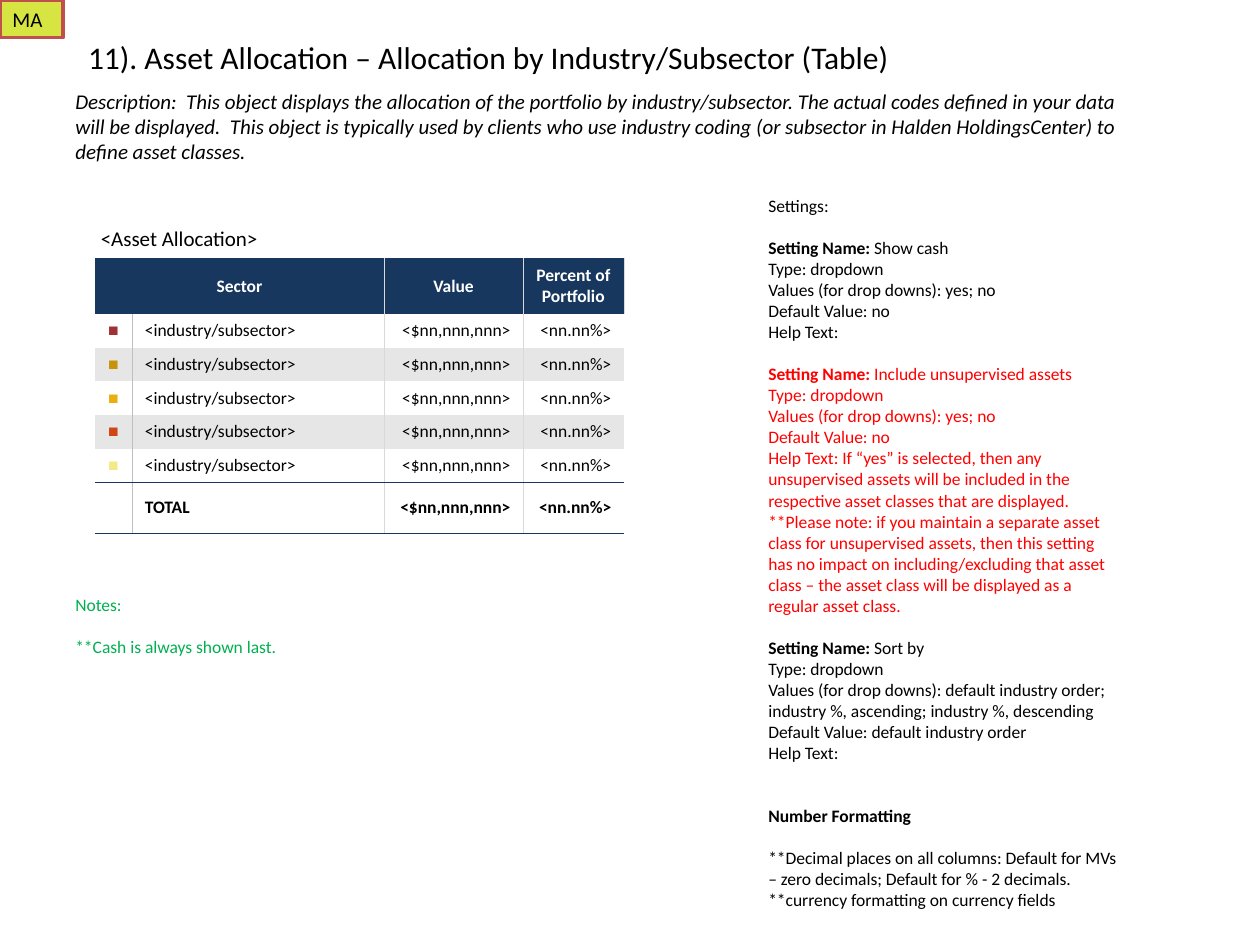
"""Build the asset allocation by industry/subsector slide."""
from lxml import etree
from pptx import Presentation
from pptx.dml.color import RGBColor
from pptx.enum.shapes import MSO_SHAPE
from pptx.enum.text import MSO_ANCHOR, MSO_AUTO_SIZE, PP_ALIGN
from pptx.oxml.ns import qn
from pptx.util import Pt

RECTANGLE = MSO_SHAPE.RECTANGLE
TOP, MIDDLE, BOTTOM = MSO_ANCHOR.TOP, MSO_ANCHOR.MIDDLE, MSO_ANCHOR.BOTTOM
LEFT, CENTER, RIGHT = PP_ALIGN.LEFT, PP_ALIGN.CENTER, PP_ALIGN.RIGHT
GROW = MSO_AUTO_SIZE.SHAPE_TO_FIT_TEXT
BLACK, WHITE, NAVY, RED, GREEN = "000000", "FFFFFF", "17375E", "FF0000", "00B050"
BAND, COLUMN_RULE, MARKER_RULE = "E6E6E6", "D9D9D9", "BFBFBF"
NO_GRID_STYLE = "{2D5ABB26-0587-4C30-8999-92F81FD0307C}"


def rgb(color):
    return RGBColor.from_string(color)


def add_run(paragraph, text, color=BLACK, **font_values):
    run = paragraph.add_run()
    run.text = text
    for key, value in {"name": "Calibri", "size": Pt(10), **font_values}.items():
        setattr(run.font, key, value)
    run.font.color.rgb = rgb(color)


prs = Presentation()
prs.slide_width, prs.slide_height = Pt(720), Pt(540)
slide = prs.slides.add_slide(prs.slide_layouts[6])

title = slide.shapes.add_textbox(Pt(43.2), Pt(18), Pt(474.5), Pt(28.8)).text_frame
title.word_wrap, title.auto_size = False, GROW
add_run(title.paragraphs[0],
        "11). Asset Allocation – Allocation by Industry/Subsector (Table)", size=Pt(18))

# (text, alignment, text colour, bold, font) for each cell; None leaves a cell empty
sectors = ["A03033", "C6930A", "EAAF0F", "D14414", "F2EA87"]
headings = [("Sector", CENTER, WHITE, True, "Calibri"), None,
            ("Value", CENTER, WHITE, True, "Calibri"),
            ("Percent of Portfolio", CENTER, WHITE, True, "Calibri")]
rows = [[("<Asset Allocation>", LEFT, BLACK, False, "Calibri"), None, None, None], headings]
for marker in sectors:
    rows.append([("■", CENTER, marker, False, "Arial"),
                 ("<industry/subsector>", LEFT, BLACK, False, "Calibri"),
                 ("<$nn,nnn,nnn>", RIGHT, BLACK, False, "Calibri"),
                 ("<nn.nn%>", RIGHT, BLACK, False, "Calibri")])
rows.append([None, ("TOTAL", LEFT, BLACK, True, "Calibri"),
             ("<$nn,nnn,nnn>", RIGHT, BLACK, True, "Calibri"),
             ("<nn.nn%>", RIGHT, BLACK, True, "Calibri")])
fills = [None, NAVY] + [BAND if i % 2 else WHITE for i in range(len(sectors))] + [WHITE]
column_widths = [21.6, 144, 79.2, 57.6]
row_heights = [21.6, 31.7] + [19.3] * (len(sectors) + 1)
total_row = len(rows) - 1

allocation_frame = slide.shapes.add_table(
    len(rows), 4, Pt(54), Pt(126), Pt(sum(column_widths)), Pt(sum(row_heights)))
allocation = allocation_frame.table
allocation.first_row = allocation.horz_banding = False
for style_id in allocation_frame.element.iter(qn("a:tableStyleId")):
    style_id.text = NO_GRID_STYLE
for column, width in zip(allocation.columns, column_widths):
    column.width = Pt(width)
for row, height in zip(allocation.rows, row_heights):
    row.height = Pt(height)
allocation.cell(0, 0).merge(allocation.cell(0, 3))
allocation.cell(1, 0).merge(allocation.cell(1, 1))

for r, row in enumerate(rows):
    for c, content in enumerate(row):
        cell = allocation.cell(r, c)
        cell.vertical_anchor = MIDDLE if r else BOTTOM
        if content:
            text, alignment, color, bold, font_name = content
            paragraph = cell.text_frame.paragraphs[0]
            paragraph.alignment = alignment
            add_run(paragraph, text, color, bold=bold, name=font_name,
                    size=Pt(10 if r else 12))
        if r == 0:
            continue
        column_edges = [None, MARKER_RULE if r > 1 else None, COLUMN_RULE, COLUMN_RULE, None]
        edges = {"a:lnL": column_edges[c], "a:lnR": column_edges[c + 1],
                 "a:lnT": NAVY if r == total_row else None,
                 "a:lnB": NAVY if r >= total_row - 1 else None}
        properties = cell._tc.get_or_add_tcPr()
        for tag, color in edges.items():
            if color:
                line = etree.SubElement(properties, qn(tag), w=str(Pt(0.23)))
                line_fill = etree.SubElement(line, qn("a:solidFill"))
                etree.SubElement(line_fill, qn("a:srgbClr"), val=color)
        cell.fill.solid()
        cell.fill.fore_color.rgb = rgb(fills[r])
caption = allocation.cell(0, 0)
caption.margin_left = Pt(3.6)
caption.fill.background()

# (space before, colour, bold part, plain part)
settings_lines = [
    (0, BLACK, "", "Settings:"),
    (12, BLACK, "Setting Name:", " Show cash"),
    (0, BLACK, "", "Type: dropdown"),
    (0, BLACK, "", "Values (for drop downs): yes; no"),
    (0, BLACK, "", "Default Value: no"),
    (0, BLACK, "", "Help Text:"),
    (12, RED, "Setting Name:", " Include unsupervised assets"),
    (0, RED, "", "Type: dropdown"),
    (0, RED, "", "Values (for drop downs): yes; no"),
    (0, RED, "", "Default Value: no"),
    (0, RED, "", "Help Text: If “yes” is selected, then any unsupervised assets will be "
     "included in the respective asset classes that are displayed.  **Please note: if you "
     "maintain a separate asset class for unsupervised assets, then this setting has no "
     "impact on including/excluding that asset class – the asset class will be displayed "
     "as a regular asset class."),
    (12, BLACK, "Setting Name:", " Sort by"),
    (0, BLACK, "", "Type: dropdown"),
    (0, BLACK, "", "Values (for drop downs): default industry order; industry %, ascending; "
     "industry %, descending"),
    (0, BLACK, "", "Default Value: default industry order"),
    (0, BLACK, "", "Help Text:"),
    (24, BLACK, "Number Formatting", ""),
    (12, BLACK, "", "**Decimal places on all columns: Default for MVs – zero decimals; "
     "Default for % - 2 decimals."),
    (0, BLACK, "", "**currency formatting on currency fields"),
]
notes_lines = [(0, GREEN, "", "Notes:"), (12, GREEN, "", "**Cash is always shown last.")]
for box, lines in [((432, 108, 216, 452), settings_lines), ((36, 336, 324, 92), notes_lines)]:
    frame = slide.shapes.add_textbox(*map(Pt, box)).text_frame
    frame.word_wrap, frame.auto_size = True, GROW
    for i, (gap, color, bold_part, plain_part) in enumerate(lines):
        paragraph = frame.add_paragraph() if i else frame.paragraphs[0]
        if gap:
            paragraph.space_before = Pt(gap)
        for text, bold in [(bold_part, True), (plain_part, False)]:
            if text:
                add_run(paragraph, text, color, bold=bold)

description = slide.shapes.add_textbox(Pt(36), Pt(46.8), Pt(612), Pt(50.4)).text_frame
description.word_wrap, description.auto_size = True, GROW
description.vertical_anchor = MIDDLE
add_run(description.paragraphs[0],
        "Description:  This object displays the allocation of the portfolio by "
        "industry/subsector. The actual codes defined in your data will be displayed.  "
        "This object is typically used by clients who use industry coding (or subsector in "
        "Halden HoldingsCenter) to define asset classes.", size=Pt(12), italic=True)

badge = slide.shapes.add_shape(RECTANGLE, Pt(0), Pt(0), Pt(36), Pt(21.6))
badge.shadow.inherit = False
badge.fill.solid()
badge.fill.fore_color.rgb = rgb("D6E542")
badge.line.color.rgb = rgb("C0504D")
badge.line.width = Pt(2)
badge.text_frame.auto_size, badge.text_frame.vertical_anchor = GROW, TOP
badge.text_frame.paragraphs[0].alignment = LEFT
add_run(badge.text_frame.paragraphs[0], "MA", size=Pt(12))

prs.save("out.pptx")
